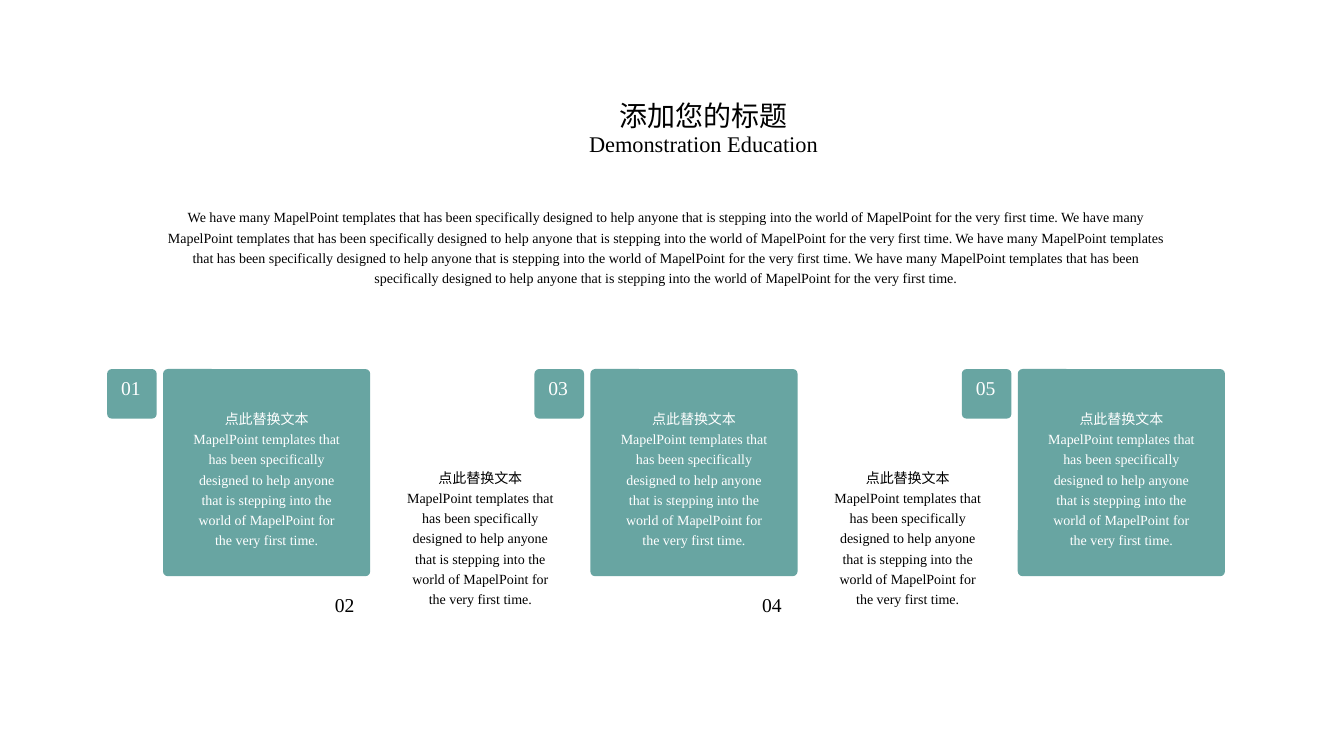
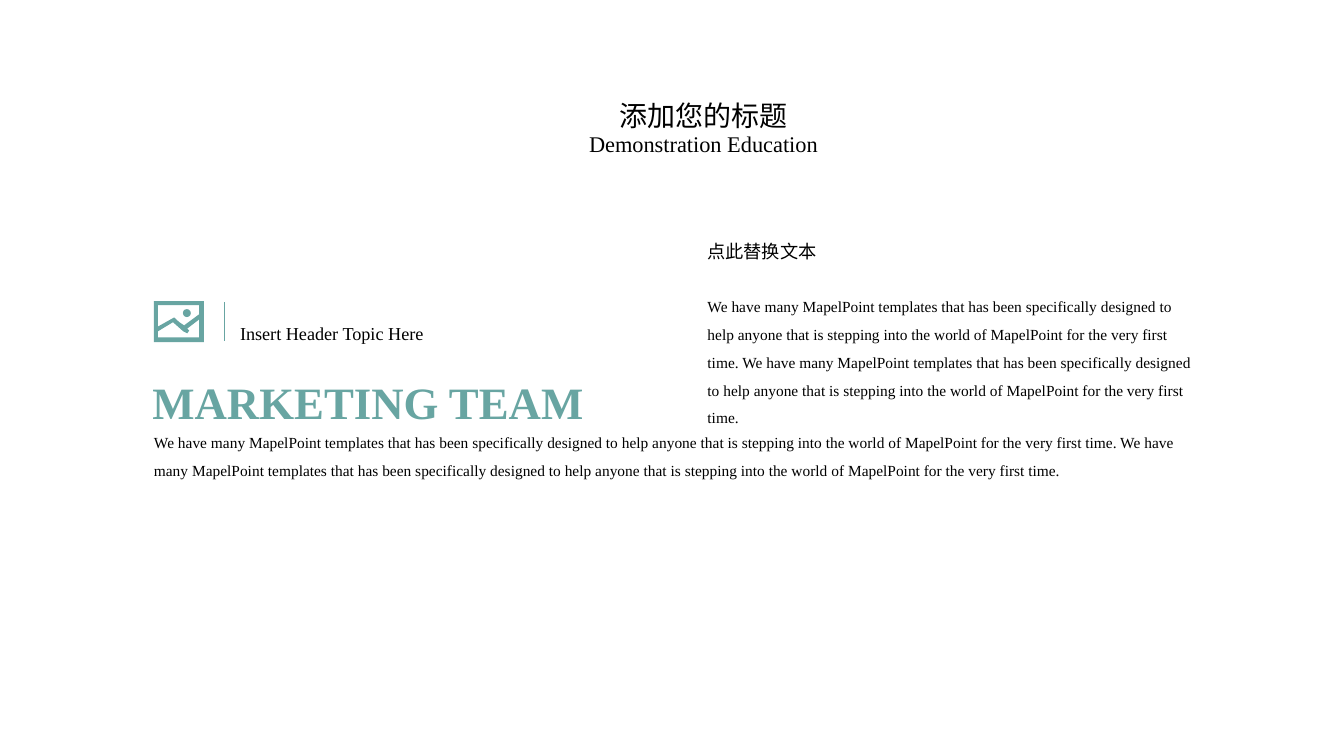
from lxml import etree
from pptx import Presentation
from pptx import util as u
from pptx.dml import color
from pptx.enum import shapes, text
from pptx.oxml import ns

FONT = "Times New Roman"
TEAL, WHITE, BLACK = "68A5A2", "FFFFFF", "000000"
LEFT, CENTER = text.PP_ALIGN.LEFT, text.PP_ALIGN.CENTER
SHAPE = shapes.MSO_SHAPE
FLUSH = (0, 0, 0, 0)
PADDED = (0.33, 0.18, 0.33, 0.18)

HEADING = "点此替换文本"
PITCH = ("MapelPoint templates that has been specifically designed to help anyone "
         "that is stepping into the world of MapelPoint for the very first time.")
SENTENCE = "We have many " + PITCH

# Icon outlines, in hundredths of a centimetre from the icon's corner
ICON_OUTLINES = [
    [(0, 0), (0, 103), (126, 103), (126, 0)],
    [(114, 10), (114, 33), (76, 61), (64, 53), (51, 41), (10, 64), (10, 10)],
    [(10, 91), (10, 76), (48, 53), (74, 76), (84, 81), (89, 74), (84, 69),
     (114, 46), (114, 91)],
]


def rgb(value):
    return color.RGBColor.from_string(value)


def write(shape, lines, size, ink=BLACK, align=LEFT, spacing=1.0, insets=FLUSH,
          wrap=True, bold=False):
    """Fill a shape with paragraphs of one style; insets are in cm."""
    frame = shape.text_frame
    frame.word_wrap = wrap
    frame.vertical_anchor = text.MSO_ANCHOR.TOP
    (frame.margin_left, frame.margin_top,
     frame.margin_right, frame.margin_bottom) = map(u.Cm, insets)
    frame.text = "\n".join(lines)
    for paragraph in frame.paragraphs:
        paragraph.alignment = align
        paragraph.line_spacing = spacing
        font = paragraph.font
        font.name, font.size, font.bold = FONT, u.Pt(size), bold
        font.color.rgb = rgb(ink)
    return frame.paragraphs


def add_text(page, left, top, width, height, lines, size, **style):
    box = page.shapes.add_textbox(*map(u.Cm, (left, top, width, height)))
    return write(box, lines, size, **style)


def paint(shape, fill):
    shape.shadow.inherit = False
    shape.fill.solid()
    shape.fill.fore_color.rgb = rgb(fill)
    shape.line.fill.background()


def add_shape(page, kind, left, top, width, height, fill):
    shape = page.shapes.add_shape(kind, *map(u.Cm, (left, top, width, height)))
    paint(shape, fill)
    return shape


def add_tile(page, left, top, side, fill):
    tile = add_shape(page, SHAPE.ROUNDED_RECTANGLE, left, top, side, side, fill)
    tile.adjustments[0] = 0.12 / side
    return tile


def add_rule(page, x, top, bottom):
    rule = page.shapes.add_connector(
        shapes.MSO_CONNECTOR.STRAIGHT, *map(u.Cm, (x, top, x, bottom)))
    rule.line.color.rgb = rgb(TEAL)
    rule.line.width = u.Pt(0.5)
    etree.SubElement(rule.element.spPr, ns.qn("a:effectLst"))


def add_picture_icon(page, left, top):
    builder = None
    for start, *rest in ICON_OUTLINES:
        if builder is None:
            builder = page.shapes.build_freeform(*start, scale=u.Cm(0.01))
        else:
            builder.move_to(*start)
        builder.add_line_segments(rest, close=True)
    paint(builder.convert_to_shape(u.Cm(left), u.Cm(top)), TEAL)
    add_shape(page, SHAPE.OVAL, left + 0.73, top + 0.2, 0.2, 0.2, TEAL)


def add_page(deck):
    """Blank page with the shared two-line title."""
    page = deck.slides.add_slide(deck.slide_layouts[6])
    title = dict(align=CENTER, wrap=False, insets=(0.25, 0.13, 0.25, 0.13))
    add_text(page, 15.34, 2.34, 4.78, 1.12, ["添加您的标题"], 20, **title)
    add_text(page, 14.54, 3.15, 6.38, 0.94, ["Demonstration Education"], 16, **title)
    return page


def add_step(page, number):
    """Numbered tile: odd ones teal and high, even ones white and low."""
    odd = number % 2 == 1
    side, badge_side = 5.22, 1.25
    left = 4.11 + (number - 1) * 5.385
    top = 9.3 if odd else 10.78
    badge_top = top if odd else top + side - badge_side
    fill, ink = (TEAL, WHITE) if odd else (WHITE, BLACK)

    tile = add_tile(page, left, top, side, fill)
    write(tile, [HEADING, PITCH], 10, ink=ink, align=CENTER, spacing=1.2,
          insets=(0.63, 0.93, 0.63, 0))
    badge = add_tile(page, left - 1.41, badge_top, badge_side, fill)
    write(badge, [f"{number:02}"], 14, ink=ink, align=CENTER, wrap=False,
          insets=(0, 0.15, 0.05, 0))


def build_steps(deck):
    page = add_page(deck)
    add_text(page, 4.19, 5.18, 25.17, 2, [" ".join([SENTENCE] * 4)], 10,
             align=CENTER, spacing=1.2)
    for number in range(1, 6):
        add_step(page, number)


def build_team(deck):
    page = add_page(deck)
    body = " ".join([SENTENCE] * 2)

    # Icon, rule and topic
    add_picture_icon(page, 3.88, 7.59)
    add_rule(page, 5.65, 7.62, 8.59)
    add_text(page, 5.72, 7.67, 5.36, 1.17, ["Insert Header Topic Here"], 13,
             spacing=1.5, insets=PADDED, wrap=False)

    # Right column
    heading, detail = add_text(page, 17.83, 5.77, 12.45, 4.37, [HEADING, body], 11,
                               spacing=1.5)
    heading.font.size = u.Pt(13)
    detail.space_before = u.Pt(19)

    # Team name and description
    add_text(page, 3.88, 10.69, 26.39, 1.42, [body], 11, spacing=1.5)
    add_text(page, 3.84, 8.59, 11.33, 2.39, ["MARKETING TEAM"], 32, ink=TEAL,
             spacing=1.5, insets=(0, *PADDED[1:]), wrap=False, bold=True)


def main():
    deck = Presentation()
    deck.slide_width, deck.slide_height = u.Cm(33.87), u.Cm(19.05)
    build_steps(deck)
    build_team(deck)
    deck.save("out.pptx")


if __name__ == "__main__":
    main()
